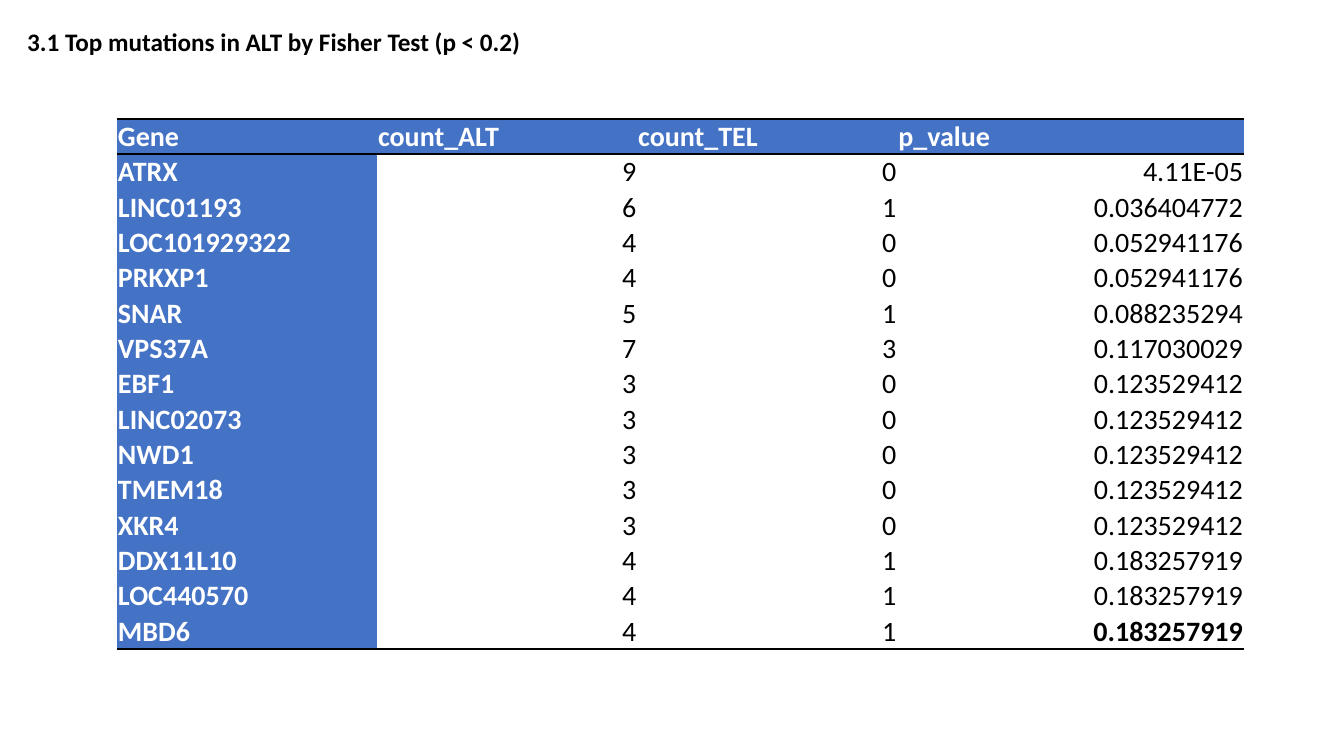
from lxml.etree import SubElement
from pptx import Presentation
from pptx.dml.color import RGBColor
from pptx.enum.text import MSO_ANCHOR as Anchor, PP_ALIGN as Align
from pptx.oxml.ns import qn
from pptx.util import Inches, Pt

PLAIN_TABLE_STYLE = "{2D5ABB26-0587-4C30-8999-92F81FD0307C}"
HEADER = ("Gene", "count_ALT", "count_TEL", "p_value")
MUTATIONS = [
    ("ATRX", "9", "0", "4.11E-05"),
    ("LINC01193", "6", "1", "0.036404772"),
    ("LOC101929322", "4", "0", "0.052941176"),
    ("PRKXP1", "4", "0", "0.052941176"),
    ("SNAR", "5", "1", "0.088235294"),
    ("VPS37A", "7", "3", "0.117030029"),
    ("EBF1", "3", "0", "0.123529412"),
    ("LINC02073", "3", "0", "0.123529412"),
    ("NWD1", "3", "0", "0.123529412"),
    ("TMEM18", "3", "0", "0.123529412"),
    ("XKR4", "3", "0", "0.123529412"),
    ("DDX11L10", "4", "1", "0.183257919"),
    ("LOC440570", "4", "1", "0.183257919"),
    ("MBD6", "4", "1", "0.183257919"),
]


def color(value):
    return RGBColor.from_string(value)


class SlideBuilder:
    """Holds the style and the current slide, and adds elements to it."""

    font_name = "Calibri"
    accent, dark, light = "4472C4", "000000", "FFFFFF"

    def __init__(self, slide):
        self.slide = slide

    def format_font(self, paragraph, size, value, bold):
        font = paragraph.font
        font.name, font.size, font.bold = self.font_name, Pt(size), bold
        font.color.rgb = color(value)

    def title(self, text, left, top, width, height):
        shape = self.slide.shapes.title
        shape.left, shape.top = Inches(left), Inches(top)
        shape.width, shape.height = Inches(width), Inches(height)
        frame = shape.text_frame
        frame.text = text
        frame.word_wrap = True
        frame.vertical_anchor = Anchor.TOP
        paragraph = frame.paragraphs[0]
        paragraph.alignment = Align.LEFT
        paragraph.line_spacing = 1.0
        self.format_font(paragraph, 18, self.dark, True)

    def border(self, cell, tag):
        line = SubElement(cell._tc.get_or_add_tcPr(), qn(tag), w=str(Pt(2)))
        fill = SubElement(line, qn("a:solidFill"))
        SubElement(fill, qn("a:srgbClr"), val=self.dark)

    def cell(self, cell, text, is_label, bold):
        cell.margin_left = cell.margin_right = cell.margin_top = Inches(0.01)
        cell.margin_bottom = 0
        cell.vertical_anchor = Anchor.BOTTOM
        cell.fill.solid()
        cell.fill.fore_color.rgb = color(self.accent if is_label else self.light)
        cell.text = text
        paragraph = cell.text_frame.paragraphs[0]
        paragraph.alignment = Align.LEFT if is_label else Align.RIGHT
        self.format_font(paragraph, 20, self.light if is_label else self.dark, bold)

    def table(self, rows, left, top, widths, row_height):
        last_row, last_column = len(rows) - 1, len(widths) - 1
        table = self.slide.shapes.add_table(
            len(rows), len(widths), Inches(left), Inches(top),
            Inches(sum(widths)), Inches(row_height * len(rows))).table
        table._tbl.tblPr.find(qn("a:tableStyleId")).text = PLAIN_TABLE_STYLE
        table.horz_banding = False
        table.first_col = True
        for column, width in zip(table.columns, widths):
            column.width = Inches(width)
        for row_index, row in enumerate(rows):
            table.rows[row_index].height = Inches(row_height)
            for column_index, text in enumerate(row):
                cell = table.cell(row_index, column_index)
                if row_index == 0:
                    self.border(cell, "a:lnT")
                if row_index in (0, last_row):
                    self.border(cell, "a:lnB")
                is_label = row_index == 0 or column_index == 0
                is_corner = (row_index, column_index) == (last_row, last_column)
                self.cell(cell, text, is_label, is_label or is_corner)


def main():
    presentation = Presentation()
    presentation.slide_width, presentation.slide_height = Inches(13.33), Inches(7.5)
    builder = SlideBuilder(presentation.slides.add_slide(presentation.slide_layouts[5]))
    builder.title("3.1 Top mutations in ALT by Fisher Test (p < 0.2)", 0.17, 0.21, 9.2, 1.01)
    builder.table([HEADER, *MUTATIONS], 1.16, 1.18, (2.58, 2.58, 2.58, 3.44), 0.34)
    presentation.save("out.pptx")


if __name__ == "__main__":
    main()
